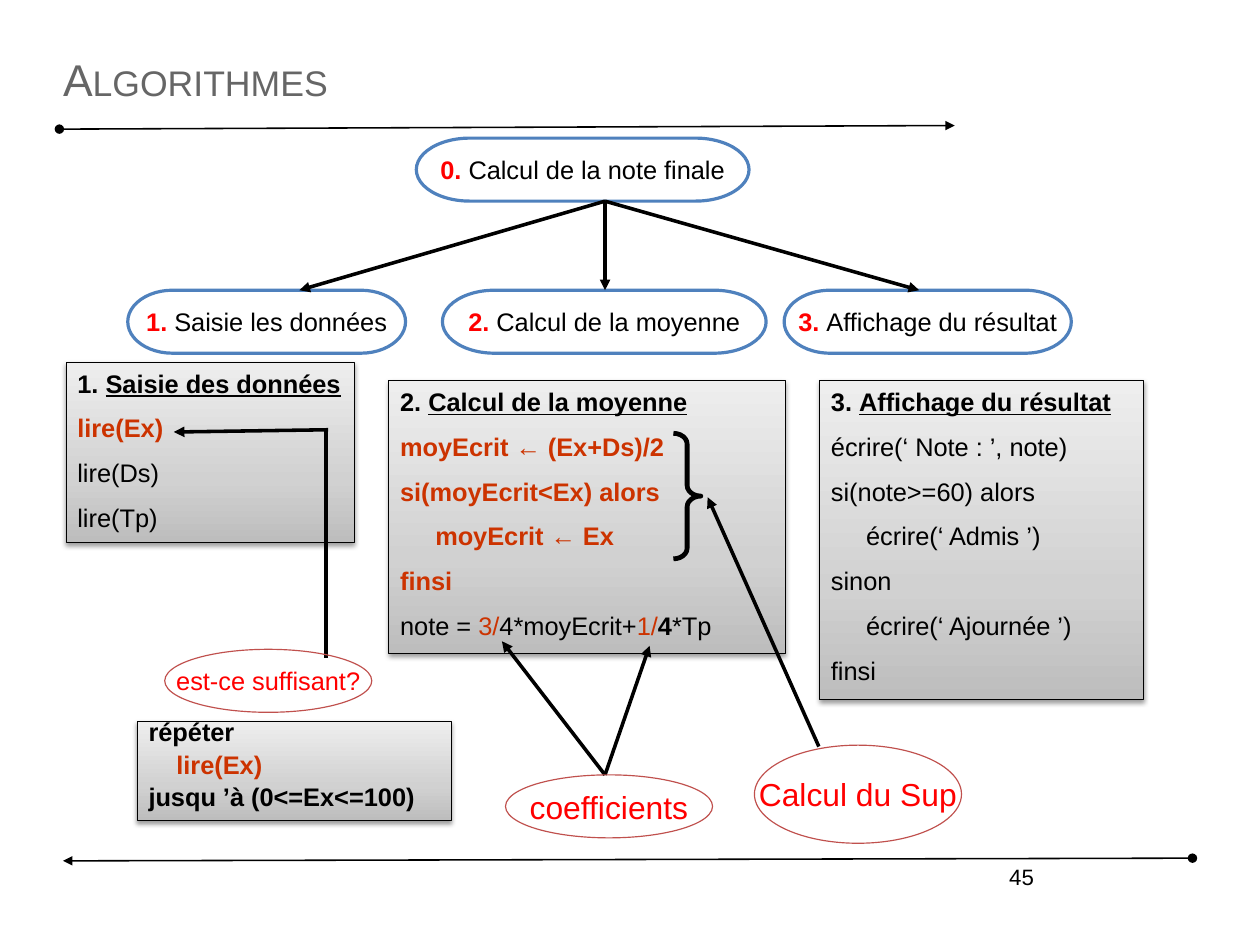
from copy import deepcopy
from typing import NamedTuple

from lxml import etree
from pptx import Presentation
from pptx.dml.color import RGBColor
from pptx.enum.shapes import MSO_CONNECTOR, MSO_SHAPE
from pptx.enum.text import MSO_ANCHOR, MSO_AUTO_SIZE, PP_ALIGN
from pptx.oxml.ns import qn
from pptx.util import Cm, Pt

STRAIGHT = MSO_CONNECTOR.STRAIGHT
RECTANGLE = MSO_SHAPE.RECTANGLE
TERMINATOR = MSO_SHAPE.FLOWCHART_TERMINATOR
OVAL = MSO_SHAPE.OVAL
RIGHT_BRACE = MSO_SHAPE.RIGHT_BRACE
TOP, MIDDLE = MSO_ANCHOR.TOP, MSO_ANCHOR.MIDDLE
LEFT, CENTER, RIGHT = PP_ALIGN.LEFT, PP_ALIGN.CENTER, PP_ALIGN.RIGHT
NO_AUTOFIT = MSO_AUTO_SIZE.NONE

BLACK = RGBColor(0x00, 0x00, 0x00)
WHITE = RGBColor(0xFF, 0xFF, 0xFF)
GREY = RGBColor(0x66, 0x66, 0x66)
RED = RGBColor(0xFF, 0x00, 0x00)
RUST = RGBColor(0xCC, 0x33, 0x00)
BLUE = RGBColor(0x4F, 0x81, 0xBD)
BRICK = RGBColor(0xC0, 0x50, 0x4D)
PANEL_DARK = RGBColor(0xBD, 0xBD, 0xBD)
PANEL_MID = RGBColor(0xD1, 0xD1, 0xD1)
PANEL_LIGHT = RGBColor(0xEE, 0xEE, 0xEE)

FONT = "Arial"
CODE_INDENT = 0.78
STEP_HEIGHT = 1.4


class Piece(NamedTuple):
    text: str
    color: RGBColor = BLACK
    bold: bool = False
    underline: bool = False


class Line(NamedTuple):
    pieces: list
    indent: float = 0


class Box(NamedTuple):
    left: float
    top: float
    width: float
    height: float


def plain(text, indent=0):
    return Line([Piece(text)], indent)


def strong(text, color=RUST, indent=0):
    return Line([Piece(text, color, True)], indent)


def heading(number, text):
    return Line([Piece(f"{number}. ", bold=True), Piece(text, bold=True, underline=True)])


def write_line(paragraph, line, size, align=LEFT):
    paragraph.alignment = align
    paragraph.font.name = FONT
    paragraph.font.size = Pt(size)
    if line.indent:
        paragraph._p.get_or_add_pPr().set("marL", str(Cm(line.indent)))
    for piece in line.pieces:
        run = paragraph.add_run()
        run.text = piece.text
        font = paragraph.font if len(line.pieces) == 1 else run.font
        font.color.rgb = piece.color
        font.bold = piece.bold
        if piece.underline:
            font.underline = True


def add_outline(slide, kind, box, color, width):
    outline = slide.shapes.add_shape(kind, *map(Cm, box))
    outline.shadow.inherit = False
    outline.fill.background()
    outline.line.color.rgb = color
    outline.line.width = Pt(width)
    return outline


def add_line(slide, start, end, width=2.25, head=None, tail="triangle"):
    connector = slide.shapes.add_connector(STRAIGHT, *map(Cm, start + end))
    connector.line.color.rgb = BLACK
    connector.line.width = Pt(width)
    stroke = connector.element.spPr.find(qn("a:ln"))
    for tag, ending in (("a:headEnd", head), ("a:tailEnd", tail)):
        if ending:
            etree.SubElement(stroke, qn(tag)).set("type", ending)
    etree.SubElement(connector.element.spPr, qn("a:effectLst"))


def add_label(slide, kind, box, pieces, color, width, size):
    label = add_outline(slide, kind, box, color, width)
    frame = label.text_frame
    frame.word_wrap = False
    frame.vertical_anchor = MIDDLE
    write_line(frame.paragraphs[0], Line(pieces), size, CENTER)
    return label


def add_remark(slide, box, text, size):
    add_label(slide, OVAL, box, [Piece(text, RED)], BRICK, 0.75, size)


def add_step(slide, box, number, text):
    pieces = [Piece(f"{number}. ", RED, True), Piece(text)]
    step = add_label(slide, TERMINATOR, box, pieces, BLUE, 2, 16)
    step.fill.solid()
    step.fill.fore_color.rgb = WHITE


def shade_panel(panel):
    panel.fill.gradient()
    panel.fill.gradient_angle = 90
    first, last = panel.fill.gradient_stops
    first.color.rgb, first.position = PANEL_MID, 0.35
    last.color.rgb, last.position = PANEL_LIGHT, 1
    stops = panel.element.spPr.find(".//" + qn("a:gsLst"))
    stops.insert(0, deepcopy(stops[0]))
    start = panel.fill.gradient_stops[0]
    start.color.rgb, start.position = PANEL_DARK, 0
    effects = panel.element.spPr.find(qn("a:effectLst"))
    shadow = etree.SubElement(effects, qn("a:outerShdw"), blurRad=str(Pt(3.1)),
                              dist=str(Pt(1.6)), dir="5400000", rotWithShape="0")
    tint = etree.SubElement(shadow, qn("a:srgbClr"), val=str(BLACK))
    etree.SubElement(tint, qn("a:alpha"), val="38000")


def add_code(slide, box, lines, spacing=1.0):
    panel = add_outline(slide, RECTANGLE, box, BLACK, 0.75)
    shade_panel(panel)
    frame = panel.text_frame
    frame.word_wrap = True
    frame.vertical_anchor = TOP
    for index, line in enumerate(lines):
        paragraph = frame.add_paragraph() if index else frame.paragraphs[0]
        write_line(paragraph, line, 16)
        paragraph.line_spacing = spacing
        paragraph.space_before = Pt(9 if index else 0)


def add_header(slide, box):
    title = slide.shapes.title
    title.left, title.top, title.width, title.height = map(Cm, box)
    frame = title.text_frame
    frame.auto_size = NO_AUTOFIT
    frame.vertical_anchor = MIDDLE
    frame.margin_left = frame.margin_top = frame.margin_right = frame.margin_bottom = 0
    write_line(frame.paragraphs[0], Line([Piece("Algorithmes", GREY)]), 28)
    frame.paragraphs[0].runs[0]._r.get_or_add_rPr().set("cap", "small")
    rule = box.top + 2.03
    add_line(slide, (box.left - 0.08, rule), (box.left + 19.81, rule - 0.08), 1, "oval")


def add_footer(slide, box):
    add_line(slide, (box.left + box.width, box.top), (box.left, box.top + 0.06), 1, "oval")
    number = slide.shapes.add_textbox(Cm(box.left + 15.29), Cm(box.top), Cm(6.53), Cm(box.height))
    number.text_frame.word_wrap = True
    write_line(number.text_frame.paragraphs[0], plain("45"), 14, RIGHT)


def add_tree(slide, box):
    apex = (box.left + 10.6, box.top + STEP_HEIGHT)
    steps_top = box.top + box.height - STEP_HEIGHT
    add_step(slide, Box(box.left + 6.41, box.top, 7.39, STEP_HEIGHT), 0, "Calcul de la note finale")
    steps = [("Saisie les données", 0, 6.17, 3.81),
             ("Calcul de la moyenne", 6.99, 7.19, 10.6),
             ("Affichage du résultat", 14.58, 6.38, 17.58)]
    for number, (text, offset, width, tip) in enumerate(steps, 1):
        add_step(slide, Box(box.left + offset, steps_top, width, STEP_HEIGHT), number, text)
        add_line(slide, apex, (box.left + tip, steps_top))


def add_input(slide, box):
    left, top = box.left, box.top
    add_code(slide, box, [heading(1, "Saisie des données"), strong("lire(Ex)"),
                          plain("lire(Ds)"), plain("lire(Tp)")])
    add_line(slide, (left + 5.77, top + 1.53), (left + 5.77, top + 6.58), tail=None)
    add_line(slide, (left + 5.82, top + 1.5), (left + 2.39, top + 1.55))
    add_remark(slide, Box(left + 2.19, top + 6.38, 4.6, 1.4), "est-ce suffisant?", 16)
    add_code(slide, Box(left + 1.58, top + 7.98, 6.98, 2.21),
             [strong("répéter", BLACK), strong("lire(Ex)", indent=0.62),
              strong("jusqu ’à (0<=Ex<=100)", BLACK)], 0.6)


def add_average(slide, box):
    left, top = box.left, box.top
    formula = Line([Piece("note = "), Piece("3/", RUST), Piece("4*moyEcrit+"),
                    Piece("1/", RUST), Piece("4", bold=True), Piece("*Tp")])
    add_code(slide, box, [heading(2, "Calcul de la moyenne"), strong("moyEcrit ← (Ex+Ds)/2"),
                          strong("si(moyEcrit<Ex) alors"),
                          strong("moyEcrit ← Ex", indent=CODE_INDENT),
                          strong("finsi"), formula])
    brace = add_outline(slide, RIGHT_BRACE, Box(left + 6.32, top + 1.17, 0.61, 2.79), BLACK, 3)
    brace.adjustments[0] = 0.39
    add_line(slide, (left + 9.55, top + 8.13), (left + 7.08, top + 2.59))
    add_remark(slide, Box(left + 8.12, top + 8.1, 4.6, 2.18), "Calcul du Sup", 20)
    for tip in ((left + 2.51, top + 5.79), (left + 5.79, top + 5.89)):
        add_line(slide, (left + 4.8, top + 8.76), tip)
    add_remark(slide, Box(left + 2.59, top + 8.76, 4.6, 1.4), "coefficients", 20)


def add_output(slide, box):
    add_code(slide, box, [heading(3, "Affichage du résultat"), plain("écrire(‘ Note : ’, note)"),
                          plain("si(note>=60) alors"), plain("écrire(‘ Admis ’)", CODE_INDENT),
                          plain("sinon"), plain("écrire(‘ Ajournée ’)", CODE_INDENT),
                          plain("finsi")])


def main():
    deck = Presentation()
    deck.slide_width, deck.slide_height = Cm(27.99), Cm(21)
    slide = deck.slides.add_slide(deck.slide_layouts[5])
    add_header(slide, Box(1.4, 0.84, 25.2, 1.83))
    add_footer(slide, Box(1.4, 19.07, 25.09, 1.45))
    add_tree(slide, Box(2.84, 3.07, 20.96, 4.78))
    add_output(slide, Box(18.21, 8.46, 7.19, 7.09))
    add_input(slide, Box(1.47, 8.05, 6.4, 4.01))
    add_average(slide, Box(8.64, 8.46, 8.81, 6.07))
    deck.save("out.pptx")


if __name__ == "__main__":
    main()
